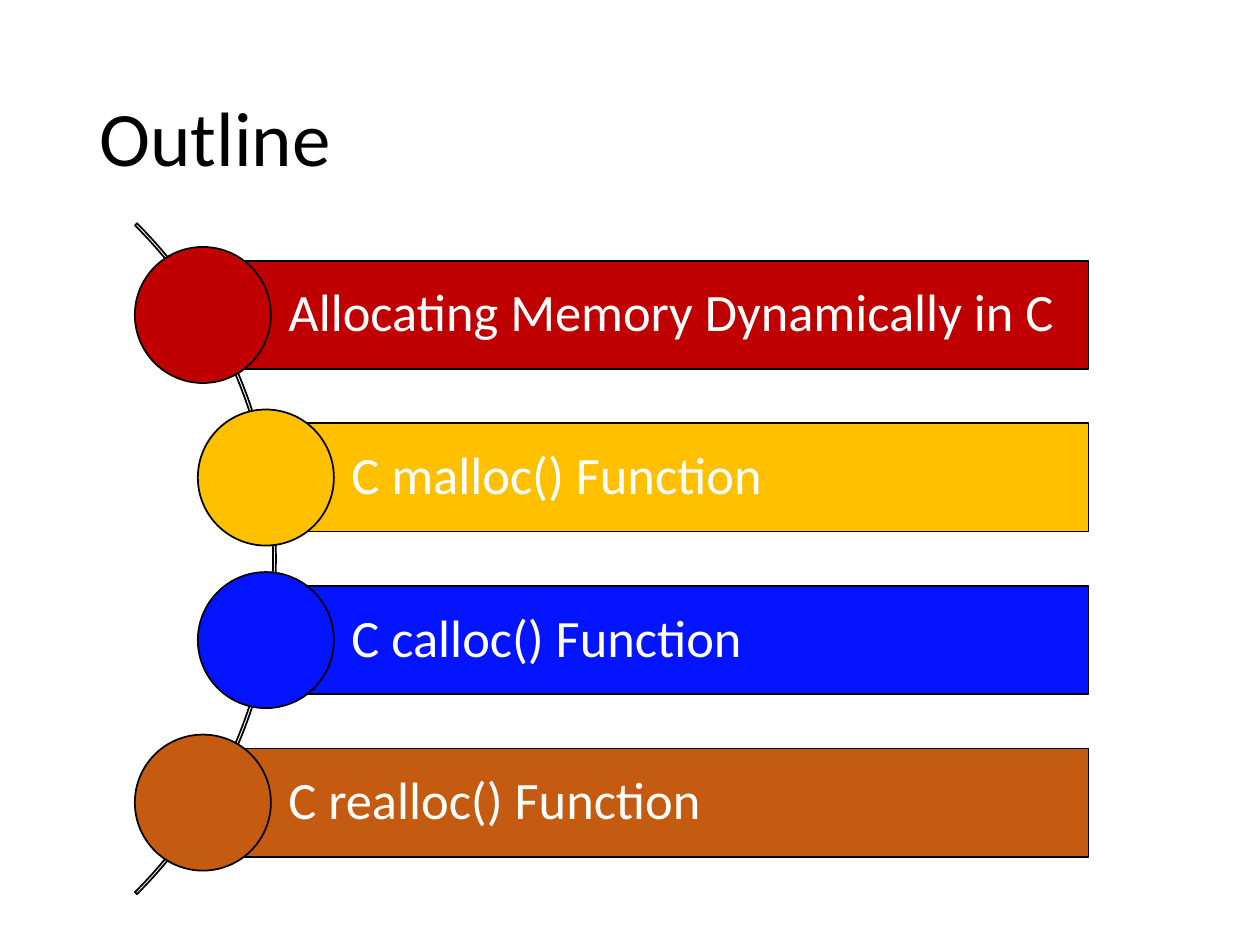
"""Build the outline slide: four coloured topics along a curved arc."""
from pptx import Presentation, util as u
from pptx.dml.color import RGBColor
from pptx.enum import shapes, text

COLOURS = {"black": "000000", "white": "FFFFFF", "red": "C00000",
           "gold": "FFC000", "blue": "0414FF", "rust": "C55A11"}
TOPICS = [
    ("Allocating Memory Dynamically in C", "red", 1.61),
    ("C malloc() Function", "gold", 2.11),
    ("C calloc() Function", "blue", 2.11),
    ("C realloc() Function", "rust", 1.61),
]
FIRST_MIDDLE, PITCH = 2.5, 1.29
BAR_RIGHT, BAR_HEIGHT, CIRCLE = 8.64, 0.86, 1.08


def write(frame, words, size, colour, after=0):
    frame.word_wrap = True
    frame.vertical_anchor = text.MSO_ANCHOR.MIDDLE
    para = frame.paragraphs[0]
    para.alignment = text.PP_ALIGN.LEFT
    para.line_spacing = 0.9
    para.space_after = u.Pt(after)
    span = para.add_run()
    span.text = words
    span.font.name = "Calibri"
    span.font.size = u.Pt(size)
    span.font.color.rgb = RGBColor.from_string(COLOURS[colour])


def add_shape(page, kind, left, top, width, height, fill=None):
    shape = page.shapes.add_shape(kind, *map(u.Inches, (left, top, width, height)))
    shape.shadow.inherit = False
    if fill:
        shape.fill.solid()
        shape.fill.fore_color.rgb = RGBColor.from_string(COLOURS[fill])
    else:
        shape.fill.background()
    shape.line.color.rgb = RGBColor.from_string(COLOURS["black"])
    shape.line.width = u.Pt(1)
    return shape


deck = Presentation()
deck.slide_width, deck.slide_height = u.Inches(10), u.Inches(7.5)
page = deck.slides.add_slide(deck.slide_layouts[5])

title = page.shapes.title
title.left, title.top = u.Inches(0.69), u.Inches(0.4)
title.width, title.height = u.Inches(8.62), u.Inches(1.45)
write(title.text_frame, "Outline", 44, "black")

kinds = shapes.MSO_SHAPE
arc = add_shape(page, kinds.BLOCK_ARC, -5.34, 0.67, 7.53, 7.53)
for index, value in enumerate((189, 27, 0.003)):
    arc.adjustments[index] = value

for row, (words, colour, left) in enumerate(TOPICS):
    middle = FIRST_MIDDLE + row * PITCH
    bar = add_shape(page, kinds.RECTANGLE, left, middle - BAR_HEIGHT / 2,
                    BAR_RIGHT - left, BAR_HEIGHT, colour)
    frame = bar.text_frame
    frame.margin_left = u.Inches(0.68)
    frame.margin_top = frame.margin_right = frame.margin_bottom = u.Inches(0.08)
    write(frame, words, 30, "white", after=10.5)
    add_shape(page, kinds.OVAL, left - CIRCLE / 2, middle - CIRCLE / 2,
              CIRCLE, CIRCLE, colour)

deck.save("out.pptx")
